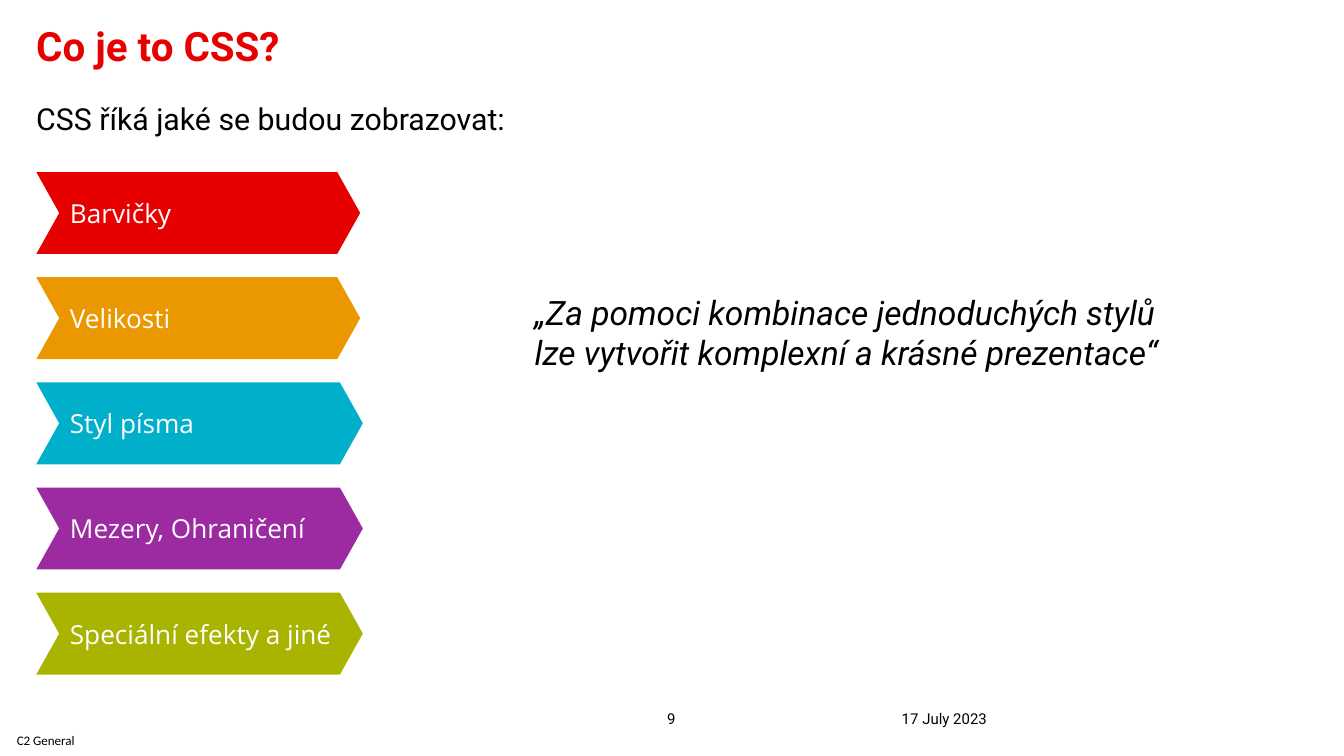
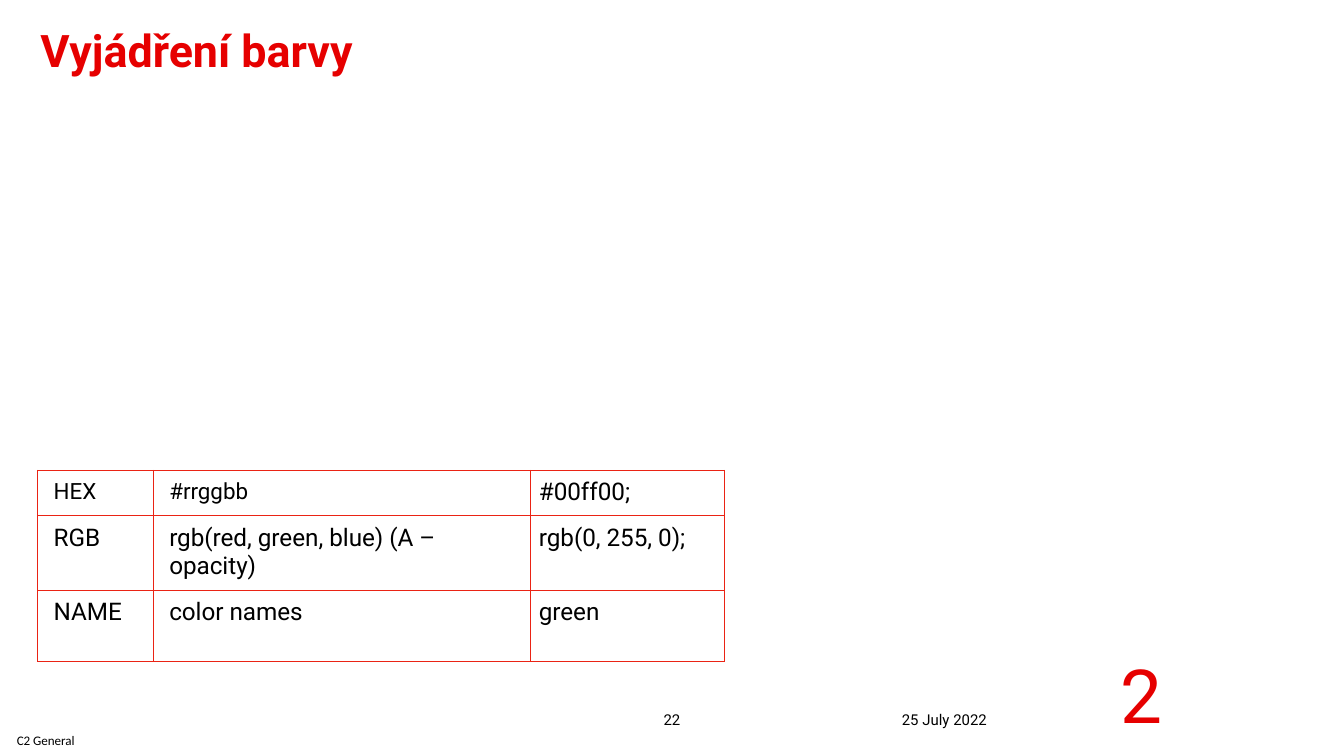
"""Build two slides on CSS: what it styles and how colours are written."""
import pptx
import pptx.util
import pptx.dml.color
import pptx.enum.shapes
import pptx.enum.text
import pptx.oxml.ns
import lxml.etree

Inches = pptx.util.Inches
Pt = pptx.util.Pt
ALIGN = pptx.enum.text.PP_ALIGN
ANCHOR = pptx.enum.text.MSO_ANCHOR

HUES = {
    "red": "E60000", "amber": "EB9700", "cyan": "00B0CA", "plum": "9C2AA0",
    "lime": "A8B400", "black": "000000", "white": "FFFFFF", "rule": "EA2314",
}
FONT = "Roboto"
LABEL = "C2 General"

INTRO = {
    "title": "Co je to CSS?",
    "lead": "CSS říká jaké se budou zobrazovat:",
    "quote": "„Za pomoci kombinace jednoduchých stylů lze vytvořit komplexní a krásné prezentace“",
    "page": ("9", (4.77, 5.15, 0.45, 0.26)),
    "date": ("17 July 2023", (6.71, 5.15, 2.33, 0.26)),
}
STEPS = [
    ("Barvičky", "red", 2.41),
    ("Velikosti", "amber", 2.41),
    ("Styl písma", "cyan", 2.43),
    ("Mezery, Ohraničení", "plum", 2.43),
    ("Speciální efekty a jiné", "lime", 2.43),
]
COLOR = {
    "title": "Vyjádření barvy",
    "mark": "2",
    "page": ("22", (4.93, 5.28, 0.14, 0.14)),
    "date": ("25 July 2022", (6.71, 5.28, 1.12, 0.14)),
}
FORMS = [
    ("HEX", "#rrggbb", "#00ff00;"),
    ("RGB", "rgb(red, green, blue) (A – opacity)", "rgb(0, 255, 0);"),
    ("NAME", "color names", "green"),
]
COLS = (0.86, 2.81, 1.44)
ROWS = (0.32, 0.32, 0.53)


def rgb(hue):
    return pptx.dml.color.RGBColor.from_string(HUES[hue])


def style(par, size, hue="black", font=FONT, bold=False, italic=False):
    for run in par.runs:
        run.font.size = Pt(size)
        run.font.name = font
        run.font.bold = bold
        run.font.italic = italic
        run.font.color.rgb = rgb(hue)


def inset(frame, left, top, right, bottom):
    frame.margin_left, frame.margin_top = Inches(left), Inches(top)
    frame.margin_right, frame.margin_bottom = Inches(right), Inches(bottom)


def write(slide, box, text, size, hue="black", anchor=ANCHOR.TOP,
          align=ALIGN.LEFT, wrap=True, pad=(0, 0, 0, 0), **look):
    frame = slide.shapes.add_textbox(*map(Inches, box)).text_frame
    inset(frame, *pad)
    frame.word_wrap = wrap
    frame.vertical_anchor = anchor
    par = frame.paragraphs[0]
    par.text = text
    par.alignment = align
    style(par, size, hue, **look)
    return frame


def head(slide, box, text, size):
    frame = write(slide, box, text, size, "red", bold=True)
    frame.paragraphs[0].line_spacing = 0.8
    return frame


def start(deck, data):
    slide = deck.slides.add_slide(deck.slide_layouts[6])
    write(slide, (0, 5.44, 0.68, 0.14), LABEL, 7, anchor=ANCHOR.MIDDLE,
          align=ALIGN.CENTER, font="Calibri")
    text, box = data["page"]
    write(slide, box, text, 8, anchor=ANCHOR.BOTTOM, align=ALIGN.CENTER, wrap=False)
    text, box = data["date"]
    write(slide, box, text, 8, anchor=ANCHOR.BOTTOM)
    return slide


def arrow(slide, box, text, hue):
    kind = pptx.enum.shapes.MSO_SHAPE.CHEVRON
    shape = slide.shapes.add_shape(kind, *map(Inches, box))
    shape.adjustments[0] = 0.28
    shape.shadow.inherit = False
    shape.fill.solid()
    shape.fill.fore_color.rgb = rgb(hue)
    shape.line.fill.background()
    frame = shape.text_frame
    inset(frame, 0.08, 0.04, 0.04, 0.04)
    frame.word_wrap = True
    frame.vertical_anchor = ANCHOR.MIDDLE
    par = frame.paragraphs[0]
    par.text = text
    par.alignment = ALIGN.LEFT
    style(par, 14, "white", "Open Sans")


def border(cell):
    qn = pptx.oxml.ns.qn
    props = cell._tc.get_or_add_tcPr()
    for side in ("a:lnL", "a:lnR", "a:lnT", "a:lnB"):
        line = lxml.etree.SubElement(props, qn(side), w=str(Pt(0.75)))
        fill = lxml.etree.SubElement(line, qn("a:solidFill"))
        lxml.etree.SubElement(fill, qn("a:srgbClr"), val=HUES["rule"])


def grid(slide):
    box = (0.28, 3.5, sum(COLS), sum(ROWS))
    table = slide.shapes.add_table(len(ROWS), len(COLS), *map(Inches, box)).table
    table.first_row = table.horz_banding = False
    for col, width in zip(table.columns, COLS):
        col.width = Inches(width)
    for row, height in zip(table.rows, ROWS):
        row.height = Inches(height)
    for r, form in enumerate(FORMS):
        for c, text in enumerate(form):
            cell = table.cell(r, c)
            border(cell)
            cell.fill.solid()
            cell.fill.fore_color.rgb = rgb("white")
            inset(cell, 0.12 if c < 2 else 0.06, 0.06, 0.06, 0.06)
            par = cell.text_frame.paragraphs[0]
            par.text = text
            style(par, 12 if r == 0 and c < 2 else 13)


def intro(deck):
    slide = start(deck, INTRO)
    frame = head(slide, (0.27, 0.23, 9.44, 0.97), INTRO["title"], 21.6)
    lead = frame.add_paragraph()
    lead.text = INTRO["lead"]
    lead.line_spacing = 0.8
    lead.space_before = Pt(20)
    style(lead, 16.2)
    first, last = 1.28, 4.41
    pitch = (last - first) / (len(STEPS) - 1)
    for i, (text, hue, width) in enumerate(STEPS):
        arrow(slide, (0.27, first + i * pitch, width, 0.61), text, hue)
    write(slide, (3.88, 2.12, 5, 0.71), INTRO["quote"], 18,
          pad=(0.1, 0.05, 0.1, 0.05), italic=True)


def color(deck):
    slide = start(deck, COLOR)
    head(slide, (0.3, 0.25, 3.85, 0.91), COLOR["title"], 24)
    grid(slide)
    write(slide, (8.34, 4.83, 0.24, 0.67), COLOR["mark"], 40, "red")


def main():
    deck = pptx.Presentation()
    deck.slide_width = Inches(10)
    deck.slide_height = deck.slide_width * 9 // 16
    intro(deck)
    color(deck)
    deck.save("out.pptx")


if __name__ == "__main__":
    main()
